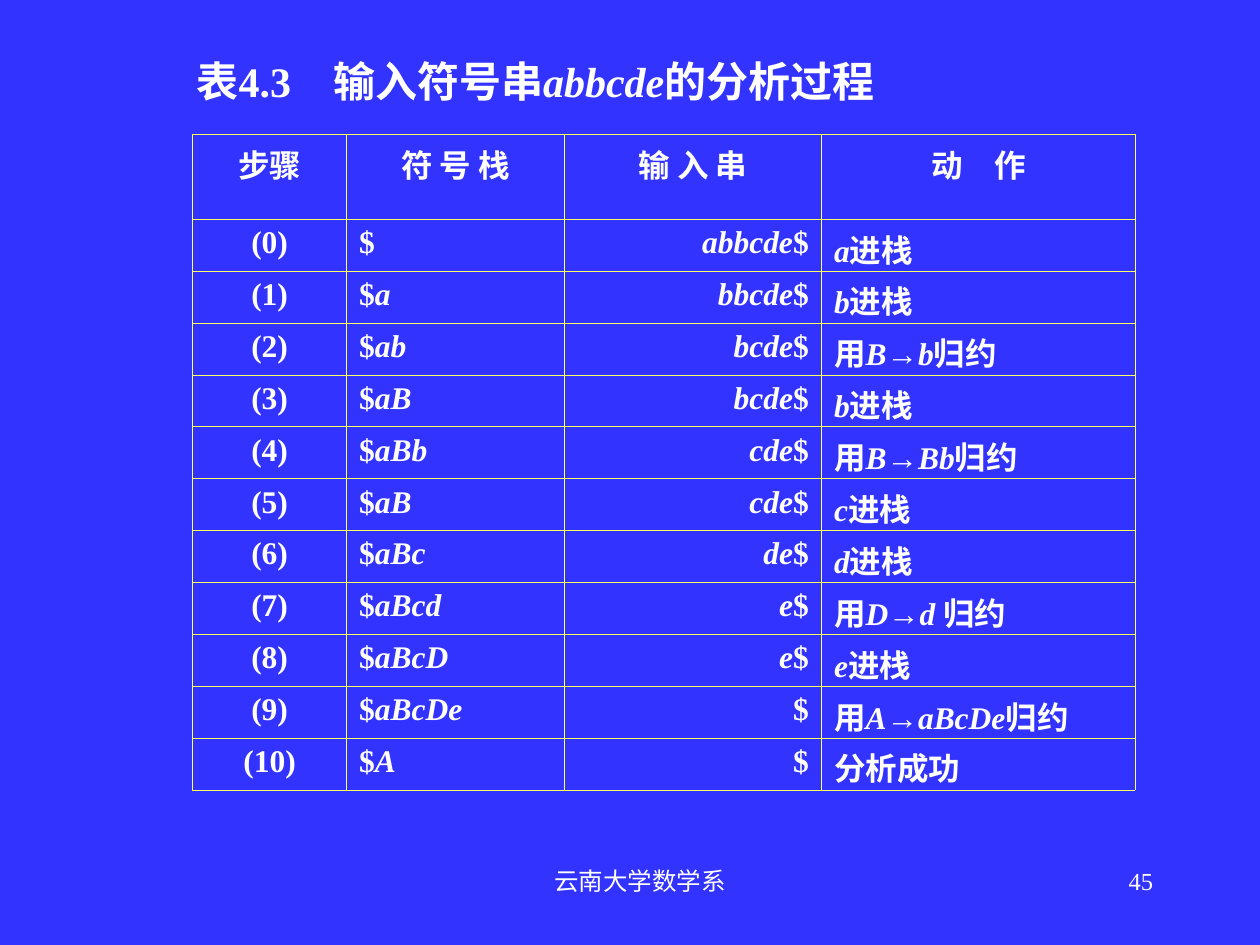
from dataclasses import dataclass

from lxml import etree
from pptx import Presentation
from pptx.dml.color import RGBColor
from pptx.enum.text import MSO_ANCHOR, MSO_AUTO_SIZE, PP_ALIGN
from pptx.oxml.ns import qn
from pptx.util import Inches, Pt

LEFT, MID, RIGHT = PP_ALIGN.LEFT, PP_ALIGN.CENTER, PP_ALIGN.RIGHT
TOP, CENTER = MSO_ANCHOR.TOP, MSO_ANCHOR.MIDDLE
GROW = MSO_AUTO_SIZE.SHAPE_TO_FIT_TEXT


@dataclass(frozen=True)
class Theme:
    font: str = "Times New Roman"
    back: str = "3333FF"
    ink: str = "FFFFFF"
    rule: str = "FFFF66"
    line: float = 0.45
    title: int = 24
    body: int = 18
    foot: int = 14


THEME = Theme()
WIDE, HIGH = 10, 7.5
COLS = (1.22, 1.73, 2.04, 2.49)
HEAD_ROW = 0.67
ALIGNS = (MID, LEFT, RIGHT, LEFT)
HEADS = ("步骤", "符 号 栈", "输 入 串", "动　作")
STEPS = (
    ("", "abbcde", "*a*进栈"),
    ("a", "bbcde", "*b*进栈"),
    ("ab", "bcde", "用*B→b*归约"),
    ("aB", "bcde", "*b*进栈"),
    ("aBb", "cde", "用*B→Bb*归约"),
    ("aB", "cde", "*c*进栈"),
    ("aBc", "de", "*d*进栈"),
    ("aBcd", "e", "用*D→d *归约"),
    ("aBcD", "e", "*e*进栈"),
    ("aBcDe", "", "用*A→aBcDe*归约"),
    ("A", "", "分析成功"),
)


def write(frame, text, size, align, bold=True):
    para = frame.paragraphs[0]
    para.alignment = align
    for i, part in enumerate(text.split("*")):
        if not part:
            continue
        run = para.add_run()
        run.text = part
        font = run.font
        font.name, font.size = THEME.font, Pt(size)
        font.bold, font.italic = bold, i % 2 == 1
        font.color.rgb = RGBColor.from_string(THEME.ink)


def place(shape, box):
    shape.left, shape.top, shape.width, shape.height = map(Inches, box)


def add_title(slide, box):
    title = slide.shapes.title
    place(title, box)
    frame = title.text_frame
    frame.word_wrap = True
    frame.auto_size = GROW
    frame.vertical_anchor = CENTER
    write(frame, "表4.3　输入符号串*abbcde*的分析过程", THEME.title, LEFT)


def add_foot(slide, box, text, align):
    frame = slide.shapes.add_textbox(*map(Inches, box)).text_frame
    frame.word_wrap = True
    write(frame, text, THEME.foot, align, bold=False)


def add_rules(cell):
    props = cell._tc.get_or_add_tcPr()
    for side in ("a:lnL", "a:lnR", "a:lnT", "a:lnB"):
        line = etree.SubElement(props, qn(side), w=str(Pt(THEME.line)))
        fill = etree.SubElement(line, qn("a:solidFill"))
        etree.SubElement(fill, qn("a:srgbClr"), val=THEME.rule)


def fill_cell(cell, text, align):
    add_rules(cell)
    cell.fill.background()
    cell.vertical_anchor = TOP
    write(cell.text_frame, text, THEME.body, align)


def add_steps(slide, box):
    rows = len(STEPS) + 1
    table = slide.shapes.add_table(rows, len(COLS), *map(Inches, box)).table
    table.first_row = table.horz_banding = False
    for col, width in zip(table.columns, COLS):
        col.width = Inches(width)
    for row in table.rows:
        row.height = Inches((box[3] - HEAD_ROW) / len(STEPS))
    table.rows[0].height = Inches(HEAD_ROW)
    for c, head in enumerate(HEADS):
        fill_cell(table.cell(0, c), head, MID)
    for r, (stack, rest, act) in enumerate(STEPS):
        texts = (f"({r})", f"$*{stack}*", f"*{rest}*$", act)
        for c, (text, align) in enumerate(zip(texts, ALIGNS)):
            fill_cell(table.cell(r + 1, c), text, align)
        table.cell(r + 1, len(COLS) - 1).margin_bottom = 0


def main():
    deck = Presentation()
    deck.slide_width, deck.slide_height = Inches(WIDE), Inches(HIGH)
    slide = deck.slides.add_slide(deck.slide_layouts[5])
    fill = slide.background.fill
    fill.solid()
    fill.fore_color.rgb = RGBColor.from_string(THEME.back)
    foot = 0.91 * HIGH
    add_foot(slide, (3.42, foot, 3.32, 0.5), "云南大学数学系", MID)
    add_foot(slide, (7.17, foot, 2.08, 0.5), "45", RIGHT)
    add_title(slide, (1.46, 0.39, 6.69, 0.5))
    add_steps(slide, (1.53, 1.07, sum(COLS), 5.2))
    deck.save("out.pptx")


if __name__ == "__main__":
    main()
